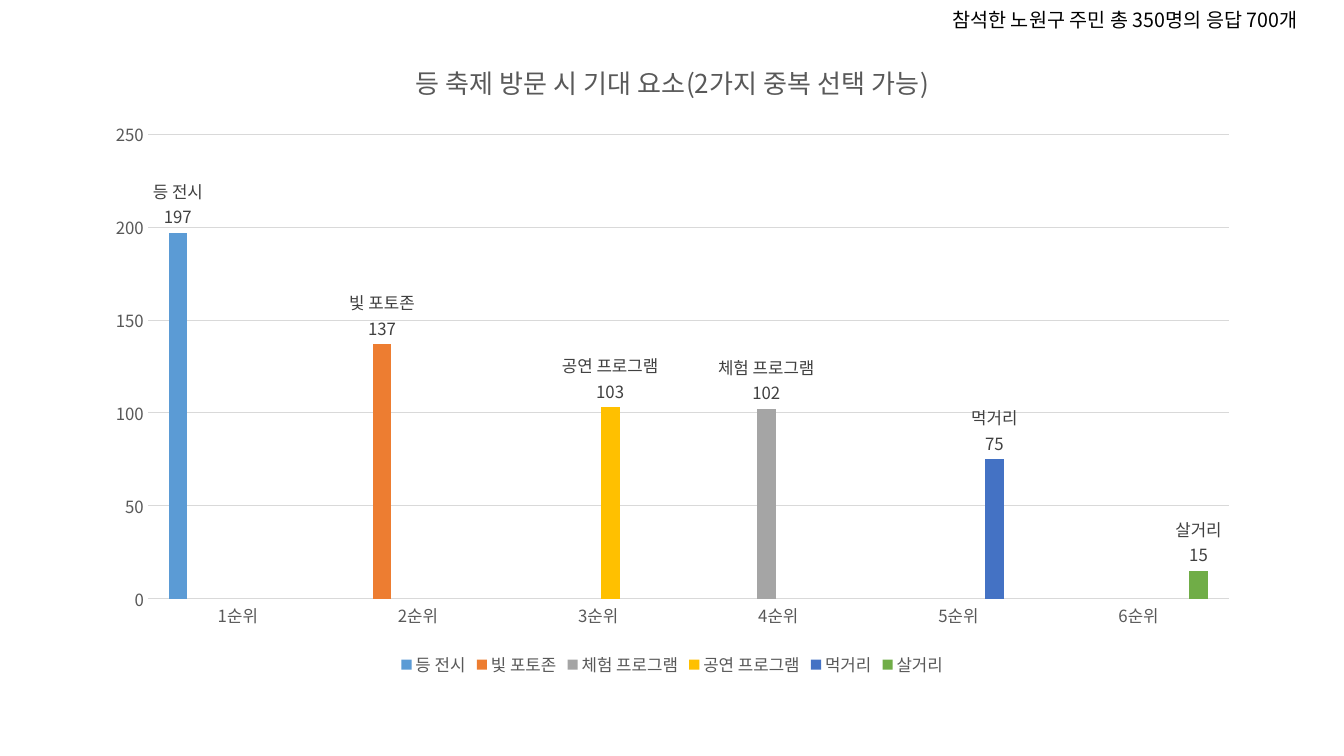
from lxml import etree
from pptx import Presentation
from pptx.chart.data import CategoryChartData
from pptx.dml.color import RGBColor
from pptx.enum.chart import (
    XL_CHART_TYPE as ChartType,
    XL_LABEL_POSITION as LabelPosition,
    XL_LEGEND_POSITION as LegendPosition,
    XL_TICK_MARK as TickMark,
)
from pptx.enum.text import MSO_AUTO_SIZE as AutoSize
from pptx.oxml.ns import qn
from pptx.util import Pt

FONT = "Noto Sans CJK KR"
COLORS = {
    "black": "000000",
    "text": "595959",
    "label": "404040",
    "grid": "D9D9D9",
    "blue": "5B9BD5",
    "orange": "ED7D31",
    "gray": "A5A5A5",
    "yellow": "FFC000",
    "navy": "4472C4",
    "green": "70AD47",
}
# Series name, rank, responses, colour
ANSWERS = [
    ("등 전시", 1, 197, "blue"),
    ("빛 포토존", 2, 137, "orange"),
    ("체험 프로그램", 4, 102, "gray"),
    ("공연 프로그램", 3, 103, "yellow"),
    ("먹거리", 5, 75, "navy"),
    ("살거리", 6, 15, "green"),
]


def color(name):
    return RGBColor.from_string(COLORS[name])


def set_font(font, size, color_name):
    font.name = FONT
    font.size = Pt(size)
    font.bold = False
    font.color.rgb = color(color_name)
    properties = font._element
    for tag in ("a:latin", "a:ea"):
        if properties.find(qn(tag)) is None:
            latin = properties.find(qn("a:latin"))
            east_asian = etree.Element(qn(tag), typeface=FONT)
            latin.addnext(east_asian)


def add_note(slide, text):
    box = slide.shapes.add_textbox(Pt(673.2), Pt(2.2), Pt(293.8), Pt(24.5))
    frame = box.text_frame
    frame.word_wrap = False
    frame.auto_size = AutoSize.SHAPE_TO_FIT_TEXT
    run = frame.paragraphs[0].add_run()
    run.text = text
    set_font(run.font, 14, "black")


def set_title(chart, text):
    chart.has_title = True
    run = chart.chart_title.text_frame.paragraphs[0].add_run()
    run.text = text
    set_font(run.font, 18.6, "text")
    chart.chart_title.include_in_layout = False


def style_axes(chart):
    for axis in (chart.category_axis, chart.value_axis):
        axis.major_tick_mark = axis.minor_tick_mark = TickMark.NONE
        set_font(axis.tick_labels.font, 12, "text")
    chart.value_axis.format.line.fill.background()
    chart.value_axis.maximum_scale = 250
    chart.value_axis.minimum_scale = 0
    chart.value_axis.major_unit = 50
    for line in (chart.category_axis.format.line,
                 chart.value_axis.major_gridlines.format.line):
        line.color.rgb = color("grid")
        line.width = Pt(0.75)


def style_series(series, color_name):
    """Fill the bars and label them with the series name above the value."""
    series.format.fill.solid()
    series.format.fill.fore_color.rgb = color(color_name)
    labels = series.data_labels
    set_font(labels.font, 12, "label")
    labels.position = LabelPosition.OUTSIDE_END
    labels.show_value = labels.show_series_name = True
    separator = etree.Element(qn("c:separator"))
    separator.text = "\n"
    labels._element.find(qn("c:showBubbleSize")).addnext(separator)


def add_answer_chart(slide):
    ranks = range(1, len(ANSWERS) + 1)
    data = CategoryChartData()
    data.categories = [f"{rank}순위" for rank in ranks]
    for name, answer_rank, count, _ in ANSWERS:
        data.add_series(name, [count if rank == answer_rank else None for rank in ranks])
    chart = slide.shapes.add_chart(
        ChartType.COLUMN_CLUSTERED, Pt(66.2), Pt(26.6), Pt(828), Pt(460), data
    ).chart
    set_font(chart.font, 10, "black")
    set_title(chart, "등 축제 방문 시 기대 요소(2가지 중복 선택 가능)")
    style_axes(chart)
    chart.has_legend = True
    chart.legend.position = LegendPosition.BOTTOM
    chart.legend.include_in_layout = False
    set_font(chart.legend.font, 12, "text")
    plot = chart.plots[0]
    plot.gap_width = 219
    plot.overlap = -27
    plot.vary_by_categories = False
    for series, (*_, color_name) in zip(plot.series, ANSWERS):
        style_series(series, color_name)


def main():
    presentation = Presentation()
    presentation.slide_width = Pt(960)
    presentation.slide_height = Pt(540)
    slide = presentation.slides.add_slide(presentation.slide_layouts[6])
    add_answer_chart(slide)
    add_note(slide, "참석한 노원구 주민 총 350명의 응답 700개")
    presentation.save("out.pptx")


if __name__ == "__main__":
    main()
